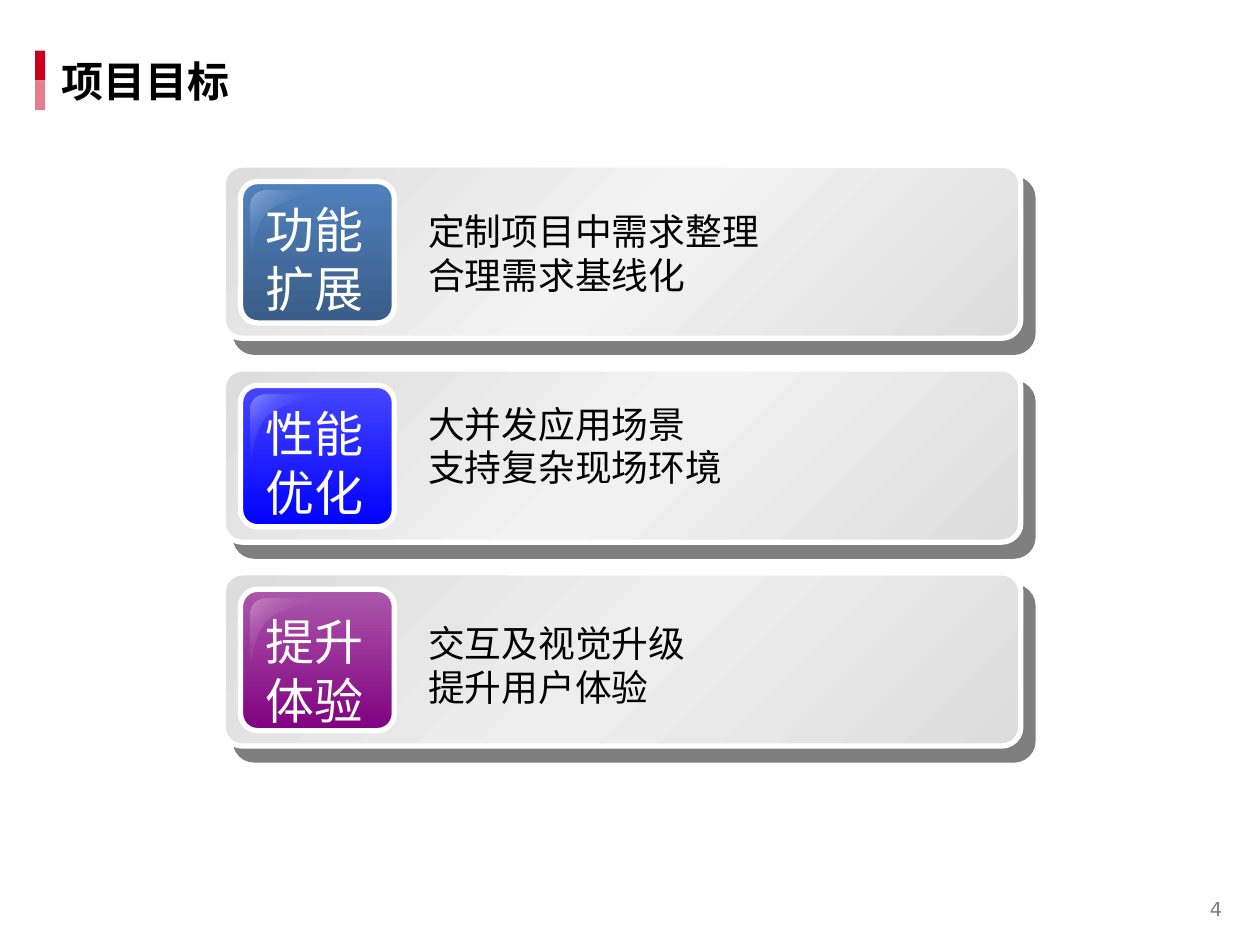
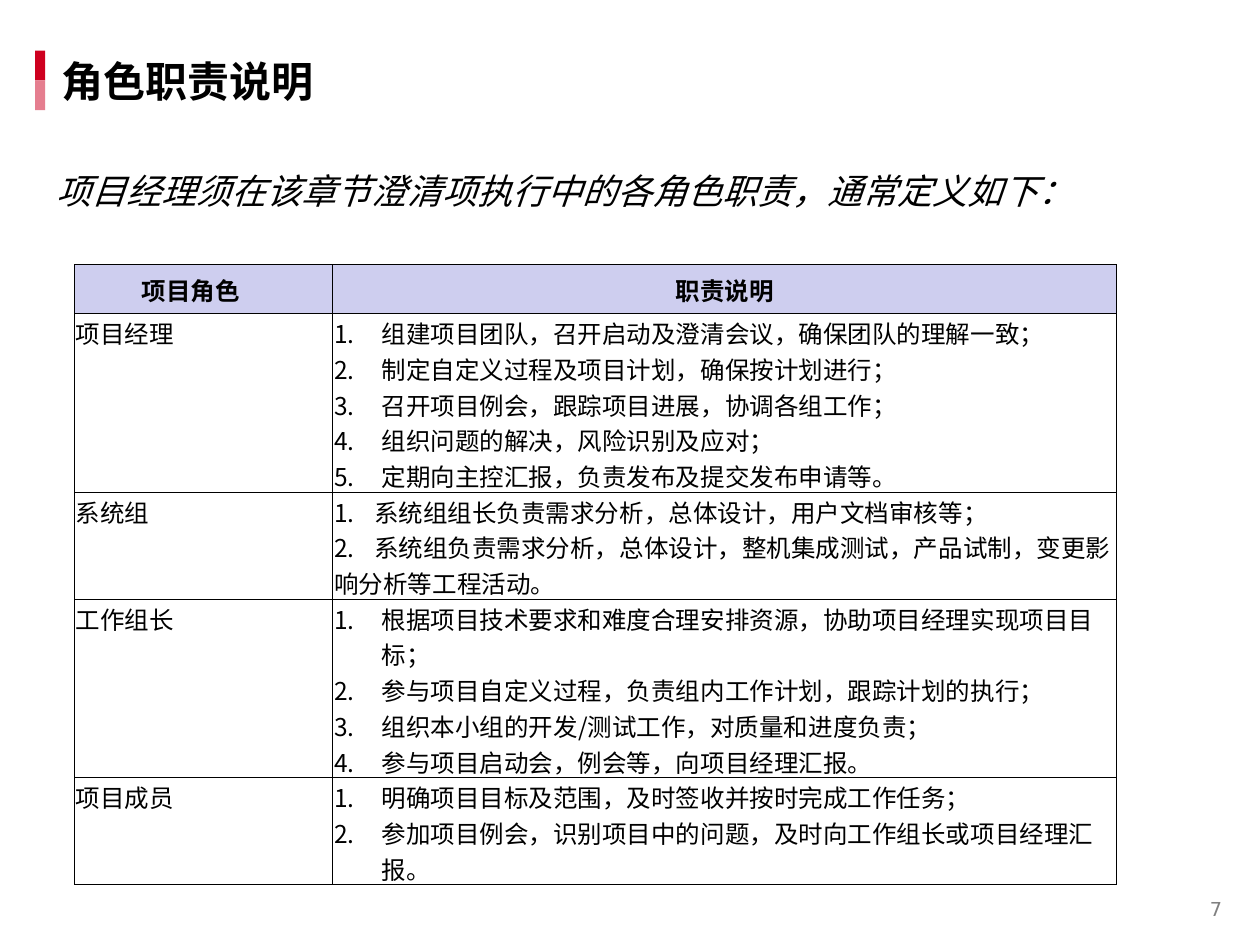
from dataclasses import dataclass

from lxml import etree
from pptx import Presentation
from pptx import util as u
from pptx.dml.color import RGBColor
from pptx.enum import shapes, text
from pptx.oxml import parse_xml
from pptx.oxml.ns import nsdecls, qn


@dataclass(frozen=True)
class Theme:
    cjk: str = "Noto Sans CJK SC"
    sans: str = "DejaVu Sans"
    body: str = "Arial"
    ink: str = "000000"
    white: str = "FFFFFF"
    grey: str = "808080"
    red: str = "CE001F"
    pink: str = "E57E8F"
    head: str = "CECEEF"
    edge: str = "DDDDDD"
    title: float = 24
    lead: float = 20
    label: float = 28
    item: float = 21
    cell: float = 14
    page: float = 11


T = Theme()


def write(frame, lines, size, face=T.cjk, color=T.ink, bold=False, italic=False,
          align=text.PP_ALIGN.LEFT, pitch=None):
    """Fill a text frame, one paragraph a line; pitch is the line height in points."""
    frame.word_wrap = True
    frame.text = "\n".join(lines)
    for par in frame.paragraphs:
        par.alignment = align
        if pitch:
            par.line_spacing = u.Pt(pitch)
        font = par.font
        font.size, font.bold, font.italic = u.Pt(size), bold, italic
        font.color.rgb = RGBColor.from_string(color)
        font.name = face
        props = par._p.pPr.find(qn("a:defRPr"))
        etree.SubElement(props, qn("a:ea"), typeface=T.cjk)


def shade(shape, stops, angle, line=None):
    """Give a shape a gradient of (percent, colour, opacity) stops."""
    shape.shadow.inherit = False
    if line:
        shape.line.color.rgb = RGBColor.from_string(line)
        shape.line.width = u.Pt(3)
    else:
        shape.line.fill.background()
    shape.fill.solid()
    marks = "".join(
        f'<a:gs pos="{at * 1000}"><a:srgbClr val="{hue}">'
        f'<a:alpha val="{alpha * 1000}"/></a:srgbClr></a:gs>'
        for at, hue, alpha in stops)
    props = shape._element.spPr
    props.replace(props.find(qn("a:solidFill")), parse_xml(
        f'<a:gradFill {nsdecls("a")} rotWithShape="1"><a:gsLst>{marks}</a:gsLst>'
        f'<a:lin ang="{angle * 60000}" scaled="0"/></a:gradFill>'))


deck = Presentation()
deck.slide_width, deck.slide_height = u.Cm(25.4), u.Cm(19.05)

# Shared frame: title, red bars and page number
pages = []
for name, num in [("项目目标", "4"), ("角色职责说明", "7")]:
    slide = deck.slides.add_slide(deck.slide_layouts[5])
    pages.append(slide)
    for row, hue in enumerate([T.red, T.pink]):
        bar = slide.shapes.add_shape(shapes.MSO_SHAPE.RECTANGLE, u.Cm(0.71),
                                     u.Cm(1.02 + 0.6 * row), u.Cm(0.2), u.Cm(0.6))
        bar.shadow.inherit = False
        bar.fill.solid()
        bar.fill.fore_color.rgb = RGBColor.from_string(hue)
        bar.line.fill.background()

    title = slide.shapes.title
    title.left, title.top, title.width, title.height = map(u.Cm, (0.91, 1.02, 11.8, 1.22))
    frame = title.text_frame
    frame.margin_left = frame.margin_right = u.Cm(0.33)
    frame.margin_top = frame.margin_bottom = u.Cm(0.18)
    frame.vertical_anchor = text.MSO_ANCHOR.MIDDLE
    write(frame, [name], T.title, bold=True)

    foot = slide.shapes.add_textbox(*map(u.Cm, (23.7, 17.83, 1.63, 0.99))).text_frame
    foot.vertical_anchor = text.MSO_ANCHOR.MIDDLE
    write(foot, [num], T.page, T.sans, T.grey, align=text.PP_ALIGN.CENTER)

goals, roles = pages

# Goal cards: label, items, middle tone, badge colours, gloss, label and item offsets
cards = [
    (["功能", "扩展"], ["定制项目中需求整理", "合理需求基线化"],
     "F3F3F3", "4F81BD", "3A5C87", "8FAAD4", 0.57, 0.76),
    (["性能", "优化"], ["大并发应用场景", "支持复杂现场环境"],
     "F2F2F2", "4646FF", "0000FF", "8A8AFF", 0.57, 0.53),
    (["提升", "体验"], ["交互及视觉升级", "提升用户体验"],
     "EEEEEE", "AC58AC", "800080", "C48AC4", 0.65, 0.84),
]
# Gloss outline as Bezier curves, in cm from its top left corner
curves = [
    [(0.3, 0), (0.13, 0), (0, 0.13), (0, 0.28)],
    [(0, 1.4), (0.05, 1.42), (0.03, 0.74), (0.38, 0.41)],
    [(0.38, 0.41), (0.79, 0.1), (1.52, 0.08), (1.52, 0)],
]
steps = 12
dots = []
for curve in curves:
    for step in range(steps + 1):
        t = step / steps
        rate = ((1 - t) ** 3, 3 * t * (1 - t) ** 2, 3 * t * t * (1 - t), t ** 3)
        dots.append([sum(r * spot[axis] for r, spot in zip(rate, curve))
                     for axis in (0, 1)])

for row, (label, items, mid, light, dark, shine, drop, dip) in enumerate(cards):
    top = 3.33 + 4.11 * row
    card = goals.shapes.add_shape(shapes.MSO_SHAPE.ROUNDED_RECTANGLE,
                                  *map(u.Cm, (4.5, top, 16.08, 3.49)))
    card.adjustments[0] = 0.11
    shade(card, [(0, T.edge, 100), (50, mid, 100), (100, T.edge, 100)], 45, T.white)
    card._element.spPr.find(qn("a:effectLst")).append(parse_xml(
        f'<a:outerShdw {nsdecls("a")} dist="{u.Pt(10.6)}" dir="{49 * 60000}" '
        f'algn="ctr" rotWithShape="0"><a:srgbClr val="{T.ink}">'
        '<a:alpha val="50000"/></a:srgbClr></a:outerShdw>'))

    badge = goals.shapes.add_shape(shapes.MSO_SHAPE.ROUNDED_RECTANGLE,
                                   *map(u.Cm, (4.85, top + 0.33, 3.1, 2.85)))
    badge.adjustments[0] = 0.12
    shade(badge, [(0, light, 100), (100, dark, 100)], 90, T.white)

    path = [(u.Cm(5.05 + x), u.Cm(top + 0.51 + y)) for x, y in dots]
    pen = goals.shapes.build_freeform(*path[0])
    pen.add_line_segments(path[1:], close=True)
    shade(pen.convert_to_shape(), [(0, shine, 100), (50, light, 0)], 45)

    box = goals.shapes.add_textbox(*map(u.Cm, (5.11, top + drop, 2.8, 2.6)))
    write(box.text_frame, label, T.label, T.sans, T.white, pitch=33.7)
    box = goals.shapes.add_textbox(*map(u.Cm, (8.38, top + dip, 11.8, 2.05)))
    write(box.text_frame, items, T.item, T.body, pitch=25.1)

# Roles: lead sentence and table
lead = roles.shapes.add_textbox(*map(u.Cm, (0.89, 3.2, 23.45, 1.27))).text_frame
lead.vertical_anchor = text.MSO_ANCHOR.MIDDLE
write(lead, ["项目经理须在该章节澄清项执行中的各角色职责，通常定义如下："], T.lead, italic=True)

# Role, duties, text lines in the row
duties = [
    ("项目经理", ["组建项目团队，召开启动及澄清会议，确保团队的理解一致；",
              "制定自定义过程及项目计划，确保按计划进行；",
              "召开项目例会，跟踪项目进展，协调各组工作；",
              "组织问题的解决，风险识别及应对；",
              "定期向主控汇报，负责发布及提交发布申请等。"], 5),
    ("系统组", ["1.\t系统组组长负责需求分析，总体设计，用户文档审核等；",
             "2.\t系统组负责需求分析，总体设计，整机集成测试，产品试制，变更影响分析等工程活动。"], 3),
    ("工作组长", ["根据项目技术要求和难度合理安排资源，协助项目经理实现项目目标；",
              "参与项目自定义过程，负责组内工作计划，跟踪计划的执行；",
              "组织本小组的开发/测试工作，对质量和进度负责；",
              "参与项目启动会，例会等，向项目经理汇报。"], 5),
    ("项目成员", ["明确项目目标及范围，及时签收并按时完成工作任务；",
              "参加项目例会，识别项目中的问题，及时向工作组长或项目经理汇报。"], 3),
]
grid = roles.shapes.add_table(len(duties) + 1, 2,
                              *map(u.Cm, (1.5, 5.33, 21.01, 12.6))).table
grid.first_row = grid.horz_banding = False
for col, wide in zip(grid.columns, (5.21, 15.8)):
    col.width = u.Cm(wide)
grid.rows[0].height = u.Cm(0.99)

for col, name in enumerate(["项目角色", "职责说明"]):
    cell = grid.cell(0, col)
    write(cell.text_frame, [name], T.cell, bold=True, align=text.PP_ALIGN.CENTER)
    cell.vertical_anchor = text.MSO_ANCHOR.MIDDLE
    cell.fill.solid()
    cell.fill.fore_color.rgb = RGBColor.from_string(T.head)

for row, (role, tasks, count) in enumerate(duties, 1):
    grid.rows[row].height = u.Cm(0.72 * count)
    for col, lines in enumerate([[role], tasks]):
        cell = grid.cell(row, col)
        write(cell.text_frame, lines, T.cell)
        cell.fill.background()
    for par in cell.text_frame.paragraphs:
        props = par._p.pPr
        if "\t" in par.text:
            props.insert(0, parse_xml(f'<a:tabLst {nsdecls("a")}>'
                                      f'<a:tab pos="{u.Cm(0.8)}" algn="l"/></a:tabLst>'))
        else:
            props.set("marL", str(u.Cm(0.95)))
            props.set("indent", str(u.Cm(-0.95)))
            props.insert(0, parse_xml(f'<a:buAutoNum {nsdecls("a")} type="arabicPeriod"/>'))

for cell in grid.iter_cells():
    cell.margin_left = cell.margin_right = cell.margin_top = u.Cm(0.03)
    cell.margin_bottom = 0
    for spot, side in enumerate("LRTB"):
        cell._tc.tcPr.insert(spot, parse_xml(
            f'<a:ln{side} {nsdecls("a")} w="{u.Pt(0.5)}"><a:solidFill>'
            f'<a:srgbClr val="{T.ink}"/></a:solidFill></a:ln{side}>'))
grid.cell(0, 0).margin_right = u.Cm(0.55)

deck.save("out.pptx")
